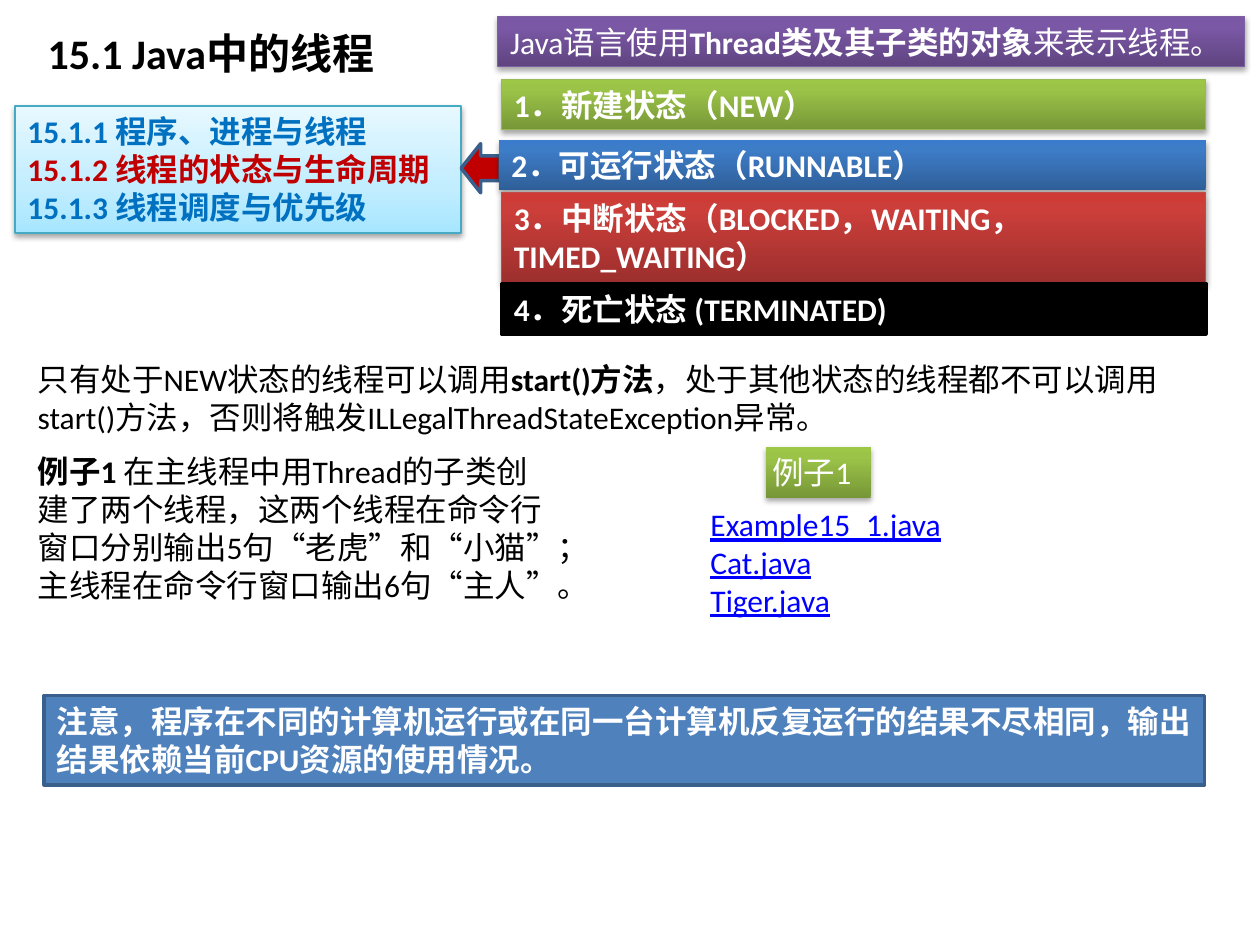
from lxml import etree
from pptx import Presentation
from pptx.dml.color import RGBColor
from pptx.enum.shapes import MSO_SHAPE
from pptx.enum.text import MSO_ANCHOR, PP_ALIGN
from pptx.oxml import parse_xml
from pptx.util import Inches, Pt

DRAWING_NS = 'xmlns:a="http://schemas.openxmlformats.org/drawingml/2006/main"'
WHITE, BLACK, RED, BLUE = "FFFFFF", "000000", "C00000", "0070C0"
NAVY, LINK = "3A5F8C", "0000FF"
GREEN_GRADIENT = [(0, "779737"), (80, "9BC348"), (100, "9DC746")]


def color(hex_value):
    return RGBColor.from_string(hex_value)


def write(shape, paragraphs, text_color=BLACK, size=18, anchor=MSO_ANCHOR.TOP, **font):
    """Each paragraph is a list of (text, font overrides) runs."""
    frame = shape.text_frame
    frame.word_wrap = True
    frame.vertical_anchor = anchor
    for index, runs in enumerate(paragraphs):
        paragraph = frame.paragraphs[0] if index == 0 else frame.add_paragraph()
        paragraph.alignment = PP_ALIGN.LEFT
        for text, overrides in runs:
            run = paragraph.add_run()
            run.text = text
            formats = {"name": "Calibri", "size": Pt(size), "color": text_color, **font, **overrides}
            run.font.color.rgb = color(formats.pop("color"))
            for attribute, value in formats.items():
                setattr(run.font, attribute, value)


def add_text(slide, box, paragraphs, **font):
    write(slide.shapes.add_textbox(*map(Inches, box)), paragraphs, **font)


def add_block(slide, box, fill, line=None, line_width=0.75, kind=MSO_SHAPE.RECTANGLE):
    """A plain shape for a hex fill; a list of stops gives a shaded one with a shadow."""
    block = slide.shapes.add_shape(kind, *map(Inches, box))
    block.shadow.inherit = False
    if isinstance(fill, str):
        block.fill.solid()
        block.fill.fore_color.rgb = color(fill)
    else:
        shade(block, fill)
    if line:
        block.line.color.rgb = color(line)
        block.line.width = Pt(line_width)
    else:
        block.line.fill.background()
    return block


def shade(block, stops):
    block.fill.gradient()
    gradient = block.fill._xPr.find("{*}gradFill")
    stop_list = gradient.find("{*}gsLst")
    for stop in list(stop_list):
        stop_list.remove(stop)
    for position, hex_value in stops:
        stop_list.append(parse_xml(
            f'<a:gs {DRAWING_NS} pos="{position * 1000}"><a:srgbClr val="{hex_value}"/></a:gs>'))
    gradient.find("{*}lin").set("ang", str(270 * 60000))
    effects = block.fill._xPr.find("{*}effectLst")
    effects.append(etree.fromstring(
        f'<a:outerShdw {DRAWING_NS} blurRad="40000" dist="22000" dir="5400000" rotWithShape="0">'
        '<a:srgbClr val="000000"><a:alpha val="35000"/></a:srgbClr></a:outerShdw>'))


def add_contents(slide, box):
    sections = [
        ("15.1.1 程序、进程与线程", BLUE),
        ("15.1.2 线程的状态与生命周期", RED),
        ("15.1.3 线程调度与优先级", BLUE),
    ]
    contents = add_block(slide, box, [(0, "A7E6FF"), (35, "C1EDFF"), (100, "E7F8FF")], "46AAC5")
    write(contents, [[(text, {"color": tint})] for text, tint in sections], bold=True)
    left, top, width, _ = box
    add_block(slide, (left + width, top + 0.3, 0.31, 0.39), RED, NAVY, 2, MSO_SHAPE.LEFT_ARROW)


def add_states(slide, box):
    left, top, width, _ = box
    intro = add_block(slide, (left - 0.03, top, 5.93, 0.4),
                      [(0, "5F4480"), (80, "7B58A6"), (100, "7C57A8")], "7D60A0")
    write(intro, [[("Java语言使用", {}), ("Thread类及其子类的对象", {"bold": True}),
                   ("来表示线程。", {})]], WHITE)
    blue = [(0, "2F5F99"), (80, "3D7CC7"), (100, "3A7CCB")]
    red = [(0, "9C2F2D"), (80, "CB3E3A"), (100, "CE3B37")]
    states = [  # text, indent, offset, height, fill, line, line width
        ("1．新建状态（NEW）", 0, 0.5, 0.4, GREEN_GRADIENT, "98B955", 0.75),
        ("2．可运行状态（RUNNABLE）", -0.02, 0.98, 0.4, blue, None, 0),
        ("3．中断状态（BLOCKED，WAITING，TIMED_WAITING）", 0, 1.4, 0.71, red, "BF4C48", 0.75),
        ("4．死亡状态 (TERMINATED)", 0, 2.12, 0.4, BLACK, BLACK, 2),
    ]
    for text, indent, offset, height, fill, line, line_width in states:
        state = add_block(slide, (left + indent, top + offset, width - indent, height),
                          fill, line, line_width)
        write(state, [[(text, {})]], WHITE, bold=True)


def add_explanation(slide, box):
    left, top, width, _ = box
    add_text(slide, (left, top, width, 0.71), [[
        ("只有处于NEW状态的线程可以调用", {}),
        ("start()方法", {"bold": True}),
        ("，处于其他状态的线程都不可以调用start()方法，"
         "否则将触发ILLegalThreadStateException异常。", {})]])
    add_text(slide, (left, top + 0.73, 4.33, 1.31), [[
        ("例子1 ", {"bold": True}),
        ("在主线程中用Thread的子类创建了两个线程，这两个线程在命令行窗口分别输出5句"
         "“老虎”和“小猫”；主线程在命令行窗口输出6句“主人”。", {})]])


def add_example_files(slide, box):
    left, top, width, height = box
    label = add_block(slide, (left + 0.54, top, 0.83, 0.4), GREEN_GRADIENT)
    write(label, [[("例子1", {})]], WHITE)
    label.text_frame.word_wrap = False
    label.text_frame.margin_left = label.text_frame.margin_right = Inches(0.05)
    files = ["Example15_1.java", "Cat.java", "Tiger.java"]
    add_text(slide, (left, top + 0.41, width, height - 0.41),
             [[(name, {})] for name in files], text_color=LINK, underline=True)


def add_note(slide, box):
    note = add_block(slide, box, "4F81BD", NAVY, 2)
    write(note, [[("注意，程序在不同的计算机运行或在同一台计算机反复运行的结果不尽相同，"
                   "输出结果依赖当前CPU资源的使用情况。", {})]], WHITE, bold=True)


def main():
    presentation = Presentation()
    presentation.slide_width, presentation.slide_height = Inches(10), Inches(7.5)
    slide = presentation.slides.add_slide(presentation.slide_layouts[6])
    add_text(slide, (0.28, -0.09, 5.02, 0.76), [[("15.1 Java中的线程", {})]],
             size=24, bold=True, anchor=MSO_ANCHOR.BOTTOM)
    add_contents(slide, (0.12, 0.84, 3.54, 1.01))
    add_states(slide, (3.98, 0.13, 5.59, 2.52))
    add_explanation(slide, (0.2, 2.81, 9.61, 2.04))
    add_note(slide, (0.35, 5.52, 9.21, 0.71))
    add_example_files(slide, (5.54, 3.55, 2.76, 1.42))
    presentation.save("out.pptx")


if __name__ == "__main__":
    main()
